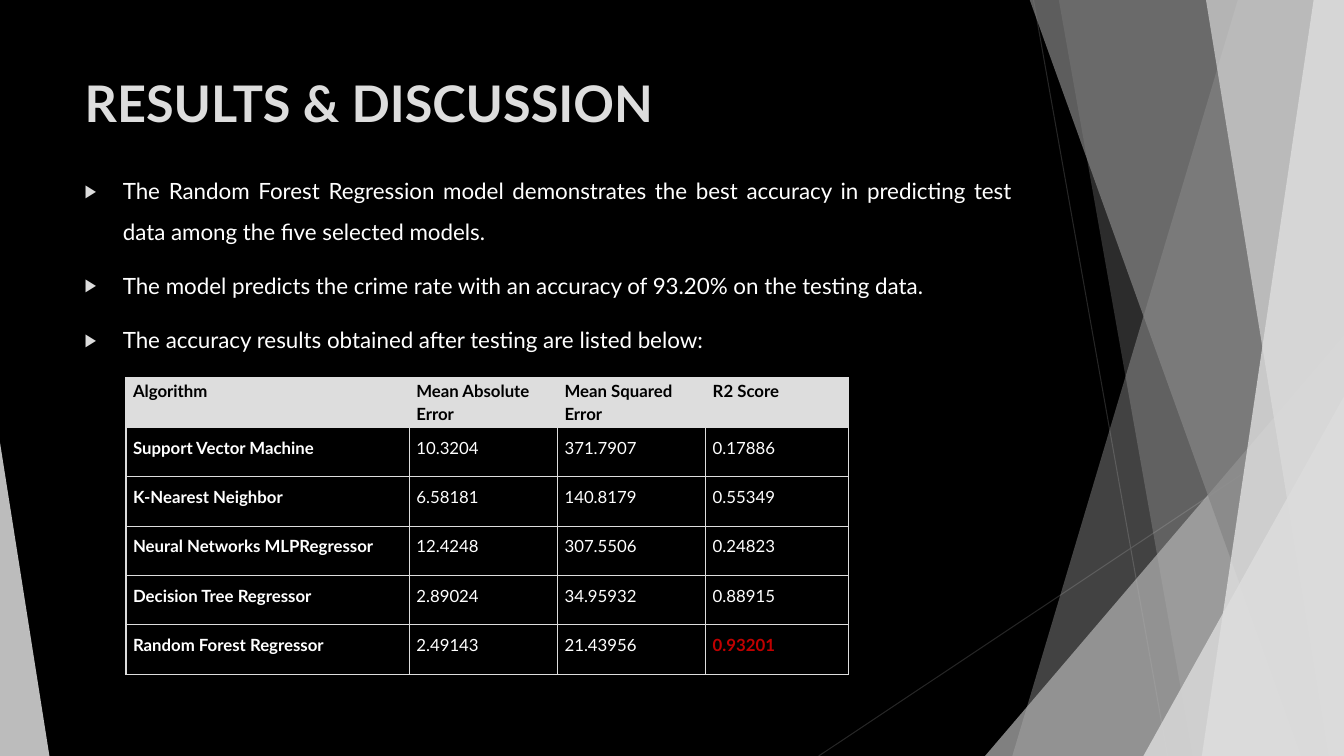
from lxml import etree
from pptx import Presentation
from pptx.dml.color import RGBColor
from pptx.enum.shapes import MSO_CONNECTOR, MSO_SHAPE
from pptx.enum.text import MSO_ANCHOR, MSO_AUTO_SIZE, PP_ALIGN
from pptx.oxml.ns import qn
from pptx.util import Inches, Pt

STRAIGHT = MSO_CONNECTOR.STRAIGHT
TRIANGLE = MSO_SHAPE.ISOSCELES_TRIANGLE
TOP = MSO_ANCHOR.TOP
NO_FIT = MSO_AUTO_SIZE.NONE
LEFT, JUSTIFY = PP_ALIGN.LEFT, PP_ALIGN.JUSTIFY

FONT = "Lato"
BLACK, WHITE, PALE, RED = "000000", "FFFFFF", "DDDDDD", "C00000"
WIDE, HIGH = 13.33, 7.5
EDGE = -0.01  # the shards start just above the slide

POINTS = [
    "The Random Forest Regression model demonstrates the best accuracy in "
    "predicting test data among the five selected models.",
    "The model predicts the crime rate with an accuracy of 93.20% on the testing data.",
    "The accuracy results obtained after testing are listed below:",
]
COLS = [2.81, 1.47, 1.47, 1.42]
ROW = 0.49
HEAD = ["Algorithm", "Mean Absolute Error", "Mean Squared Error", "R2 Score"]
SCORES = [
    ["Support Vector Machine", "10.3204", "371.7907", "0.17886"],
    ["K-Nearest Neighbor", "6.58181", "140.8179", "0.55349"],
    ["Neural Networks MLPRegressor", "12.4248", "307.5506", "0.24823"],
    ["Decision Tree Regressor", "2.89024", "34.95932", "0.88915"],
    ["Random Forest Regressor", "2.49143", "21.43956", "0.93201"],
]
BEST = "0.93201"


def rgb(code):
    return RGBColor.from_string(code)


def add_node(parent, tag, **attrs):
    node = etree.SubElement(parent, qn(tag))
    for name, value in attrs.items():
        node.set(name, str(value))
    return node


def paint(shape, color, alpha):
    """Fill a shape with a colour at alpha percent, without outline or shadow."""
    shape.shadow.inherit = False
    shape.line.fill.background()
    shape.fill.solid()
    shape.fill.fore_color.rgb = rgb(color)
    tint = shape.fill._xPr.find(qn("a:solidFill"))[0]
    add_node(tint, "a:alpha", val=alpha * 1000)


def add_ray(slide, start, end):
    ends = [Inches(v) for v in (*start, *end)]
    ray = slide.shapes.add_connector(STRAIGHT, *ends)
    ray.line.color.rgb = rgb("262626")
    ray.line.width = Pt(0.75)
    add_node(ray._element.spPr, "a:effectLst")


def add_shard(slide, top, foot, color, alpha):
    """Add a band from a slanted left side to the right edge of the slide."""
    spots = [(top, EDGE), (WIDE, EDGE), (WIDE, HIGH), (foot, HIGH)]
    spots = [(Inches(x), Inches(y)) for x, y in spots]
    form = slide.shapes.build_freeform(*spots[0])
    form.add_line_segments(spots[1:], close=True)
    paint(form.convert_to_shape(), color, alpha)


def add_wedge(slide, left, top, width, peak, color, alpha):
    """Add a triangle on the bottom edge; peak 0 is left, 1 is right."""
    box = [Inches(v) for v in (left, top, width, HIGH - top)]
    wedge = slide.shapes.add_shape(TRIANGLE, *box)
    wedge.adjustments[0] = peak
    paint(wedge, color, alpha)


def add_run(par, text, size, color, bold=False):
    run = par.add_run()
    run.text = text
    run.font.name = FONT
    run.font.size = Pt(size)
    run.font.bold = bold
    run.font.color.rgb = rgb(color)


def add_title(slide, text):
    title = slide.shapes.title
    title.left, title.top = Inches(0.74), Inches(0.67)
    title.width, title.height = Inches(9.4), Inches(0.91)
    frame = title.text_frame
    frame.auto_size = NO_FIT
    frame.vertical_anchor = TOP
    par = frame.paragraphs[0]
    par.alignment = LEFT
    add_run(par, text, 36, PALE, True)


def add_points(slide, points):
    box = slide.shapes.add_textbox(Inches(0.74), Inches(1.58), Inches(9.4), Inches(5.33))
    frame = box.text_frame
    frame.word_wrap = True
    for i, text in enumerate(points):
        par = frame.add_paragraph() if i else frame.paragraphs[0]
        par.alignment = JUSTIFY
        par.line_spacing = 1.5
        par.space_before = Pt(10)
        props = par._p.get_or_add_pPr()
        props.set("marL", str(Inches(0.38)))
        props.set("indent", str(-Inches(0.38)))
        add_node(add_node(props, "a:buClr"), "a:srgbClr", val=PALE)
        add_node(props, "a:buSzPct", val=80000)
        add_node(props, "a:buFont", typeface="Arial")
        add_node(props, "a:buChar", char="▶")
        add_run(par, text, 16, WHITE)


def add_borders(cell):
    props = cell._tc.get_or_add_tcPr()
    for side in ("a:lnL", "a:lnR", "a:lnT", "a:lnB"):
        line = add_node(props, side, w=Pt(1))
        add_node(add_node(line, "a:solidFill"), "a:srgbClr", val=PALE)


def fill_cell(cell, text, head, first):
    add_borders(cell)
    if head:
        cell.fill.solid()
        cell.fill.fore_color.rgb = rgb(PALE)
    else:
        cell.fill.background()
    cell.margin_left = cell.margin_right = Inches(0.07)
    cell.margin_top = cell.margin_bottom = 0
    par = cell.text_frame.paragraphs[0]
    par.line_spacing = 1.15 if head else 1.5
    best = text == BEST
    color = BLACK if head else RED if best else WHITE
    add_run(par, text, 12, color, head or first or best)


def add_scores(slide, rows):
    size = [Inches(v) for v in (1.25, 3.75, sum(COLS), ROW * len(rows))]
    table = slide.shapes.add_table(len(rows), len(COLS), *size).table
    table.first_row = table.horz_banding = False
    for col, width in zip(table.columns, COLS):
        col.width = Inches(width)
    for r, row in enumerate(rows):
        table.rows[r].height = Inches(ROW)
        for c, text in enumerate(row):
            fill_cell(table.cell(r, c), text, r == 0, c == 0)


def add_backdrop(slide):
    slide.background.fill.solid()
    slide.background.fill.fore_color.rgb = rgb(BLACK)
    add_ray(slide, (10.25, 0), (11.58, HIGH))
    add_ray(slide, (WIDE, 4.03), (8.12, HIGH))
    add_shard(slide, 12.28, 10.04, PALE, 30)
    add_shard(slide, 10.5, 11.83, PALE, 20)
    add_wedge(slide, 9.77, 3.33, 3.56, 1, "B2B2B2", 72)
    add_shard(slide, 10.21, 12.91, "858585", 70)
    add_shard(slide, 13.03, 11.92, "EBEBEB", 70)
    add_shard(slide, 11.96, 13.18, PALE, 65)
    add_wedge(slide, 11.34, 3.93, 1.99, 1, PALE, 80)
    add_wedge(slide, 0, 4.39, 0.49, 0, PALE, 85)


def main():
    deck = Presentation()
    deck.slide_width, deck.slide_height = Inches(WIDE), Inches(HIGH)
    slide = deck.slides.add_slide(deck.slide_layouts[5])
    add_backdrop(slide)
    add_title(slide, "RESULTS & DISCUSSION")
    add_points(slide, POINTS)
    add_scores(slide, [HEAD] + SCORES)
    deck.save("out.pptx")


if __name__ == "__main__":
    main()
